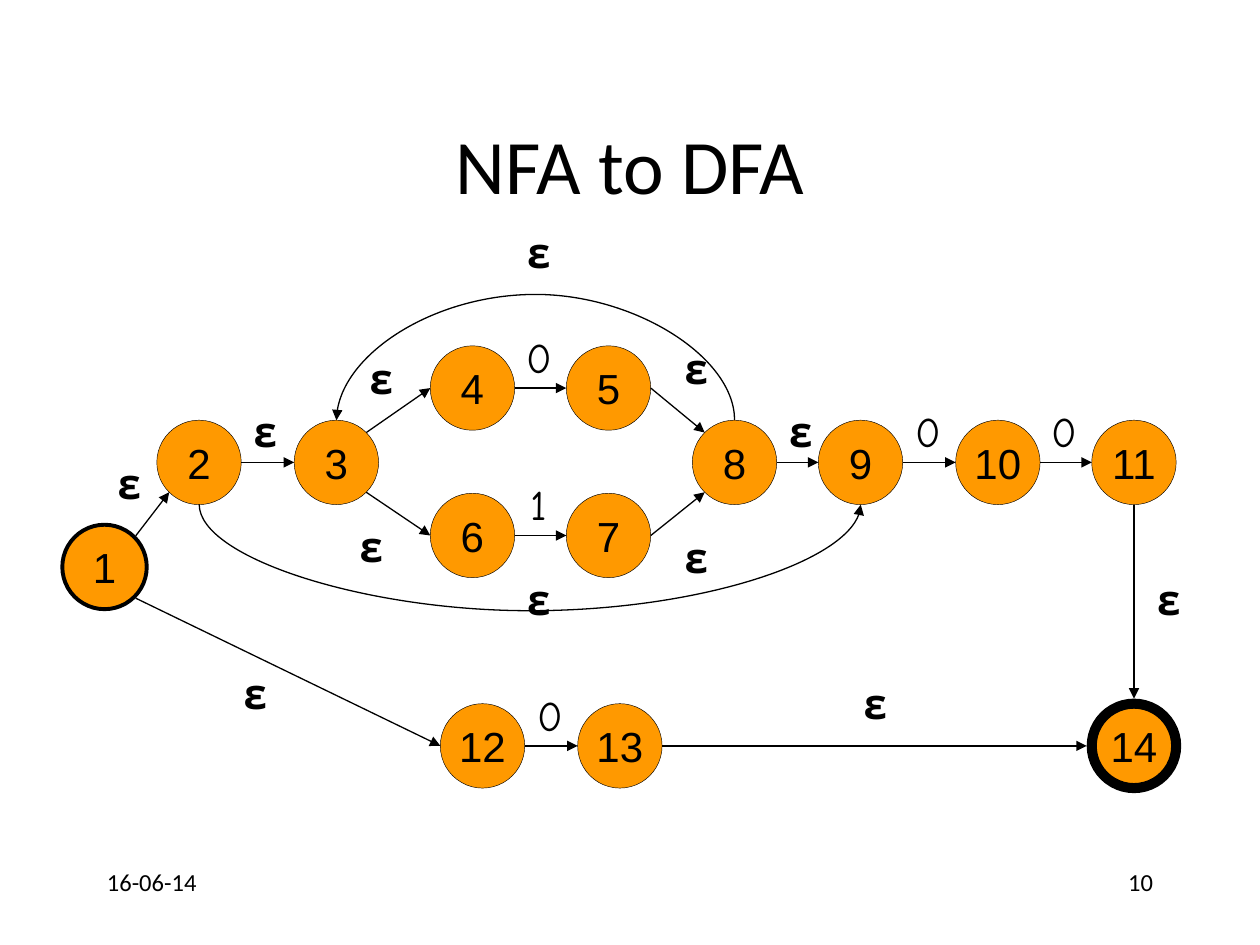
from dataclasses import dataclass
from math import cos, radians, sin

from lxml.etree import SubElement
from pptx import Presentation
from pptx.dml.color import RGBColor
from pptx.enum.shapes import MSO_CONNECTOR as Connector, MSO_SHAPE as Shape
from pptx.enum.text import MSO_ANCHOR as Anchor, MSO_AUTO_SIZE as AutoSize, PP_ALIGN as Align
from pptx.oxml.ns import qn
from pptx.util import Emu, Inches, Pt


@dataclass(frozen=True)
class Theme:
    ink: RGBColor = RGBColor(0, 0, 0)
    state_fill: RGBColor = RGBColor(0xFF, 0x99, 0x00)
    text_font: str = "Calibri"
    state_font: str = "Arial"
    symbol_font: str = "Comic Neue"
    title_size: int = 44
    diagram_size: int = 24
    footer_size: int = 14
    edge_width: float = 0.75
    state_border: float = 0.25
    start_border: float = 2.25
    accept_border: float = 5.75


THEME = Theme()
EPSILON = "ε"
DIAMETER = 0.67
ARC_DEPTH = Emu(1588)  # thin connector box; the adjustment scales from it

# Directions on a state's rim, in degrees clockwise from the right
RIGHT, LOWER_RIGHT, DOWN, LOWER_LEFT, LEFT, UPPER_LEFT, UP, UPPER_RIGHT = range(0, 360, 45)

UPPER, MIDDLE, LOWER, BOTTOM = 3.08, 3.67, 4.25, 5.92
STATES = {
    1: (0.83, 4.5), 2: (1.58, MIDDLE), 3: (2.67, MIDDLE),
    4: (3.75, UPPER), 5: (4.83, UPPER), 6: (3.75, LOWER), 7: (4.83, LOWER),
    8: (5.83, MIDDLE), 9: (6.83, MIDDLE), 10: (7.92, MIDDLE), 11: (9, MIDDLE),
    12: (3.83, BOTTOM), 13: (4.92, BOTTOM), 14: (9, BOTTOM),
}
BORDERS = {1: THEME.start_border, 14: THEME.accept_border}

# from, side, to, side, symbol, symbol's centre x and top
TRANSITIONS = [
    (1, UPPER_RIGHT, 2, LOWER_LEFT, EPSILON, 1.01, 3.58),
    (1, LOWER_RIGHT, 12, LEFT, EPSILON, 2.01, 5.25),
    (2, RIGHT, 3, LEFT, EPSILON, 2.09, 3.17),
    (3, UPPER_RIGHT, 4, LEFT, EPSILON, 3.01, 2.75),
    (3, LOWER_RIGHT, 6, LEFT, EPSILON, 2.93, 4.08),
    (4, RIGHT, 5, LEFT, "0", 4.28, 2.58),
    (6, RIGHT, 7, LEFT, "1", 4.28, 3.75),
    (5, RIGHT, 8, UPPER_LEFT, EPSILON, 5.51, 2.67),
    (7, RIGHT, 8, LOWER_LEFT, EPSILON, 5.51, 4.17),
    (8, RIGHT, 9, LEFT, EPSILON, 6.34, 3.17),
    (9, RIGHT, 10, LEFT, "0", 7.37, 3.17),
    (10, RIGHT, 11, LEFT, "0", 8.45, 3.17),
    (11, DOWN, 14, UP, EPSILON, 9.26, 4.5),
    (12, RIGHT, 13, LEFT, "0", 4.37, 5.42),
    (13, RIGHT, 14, LEFT, EPSILON, 6.93, 5.33),
]

# from, to, side, signed drop of the arc, symbol's centre x and top
ARCS = [
    (8, 3, UP, -1.1, 4.26, 1.75),
    (2, 9, DOWN, 0.93, 4.26, 4.5),
]


def write(frame, text, *, font, size, bold=False, align=Align.LEFT, anchor=Anchor.TOP, wrap=True):
    frame.word_wrap = wrap
    frame.vertical_anchor = anchor
    paragraph = frame.paragraphs[0]
    paragraph.alignment = align
    run = paragraph.add_run()
    run.text = text
    run.font.name = font
    run.font.size = Pt(size)
    run.font.bold = bold
    run.font.color.rgb = THEME.ink


def rim(state, side):
    """Point on the outer edge of a state's border, in inches."""
    x, y = STATES[state]
    radius = DIAMETER / 2 + BORDERS.get(state, 0) / 72 / 2
    return x + radius * cos(radians(side)), y + radius * sin(radians(side))


class AutomatonSlide:
    def __init__(self, slide, theme):
        self.slide = slide
        self.theme = theme

    def text(self, content, left, top, width, height, **style):
        box = self.slide.shapes.add_textbox(*map(Inches, (left, top, width, height)))
        write(box.text_frame, content, **style)
        return box

    def symbol(self, content, center, top):
        width = 0.4 if content == "0" else 0.35
        box = self.text(content, center - width / 2, top, width, 0.5,
                        font=self.theme.symbol_font, size=self.theme.diagram_size,
                        bold=content == EPSILON, align=Align.CENTER, wrap=False)
        box.text_frame.auto_size = AutoSize.SHAPE_TO_FIT_TEXT

    def state(self, number):
        x, y = STATES[number]
        circle = self.slide.shapes.add_shape(
            Shape.FLOWCHART_CONNECTOR, Inches(x - DIAMETER / 2), Inches(y - DIAMETER / 2),
            Inches(DIAMETER), Inches(DIAMETER))
        circle.shadow.inherit = False
        circle.fill.solid()
        circle.fill.fore_color.rgb = self.theme.state_fill
        circle.line.color.rgb = self.theme.ink
        circle.line.width = Pt(BORDERS.get(number, self.theme.state_border))
        write(circle.text_frame, str(number), font=self.theme.state_font,
              size=self.theme.diagram_size, align=Align.CENTER, anchor=Anchor.MIDDLE, wrap=False)

    def arrow(self, kind, start, end):
        connector = self.slide.shapes.add_connector(kind, *start, *end)
        connector.line.color.rgb = self.theme.ink
        connector.line.width = Pt(self.theme.edge_width)
        SubElement(connector.line._get_or_add_ln(), qn("a:tailEnd"), type="triangle")
        SubElement(connector._element.spPr, qn("a:effectLst"))
        return connector

    def transition(self, source, source_side, target, target_side):
        self.arrow(Connector.STRAIGHT, map(Inches, rim(source, source_side)),
                   map(Inches, rim(target, target_side)))

    def arc(self, source, target, side, drop):
        """Curve between two states of one row, as a thin connector turned a quarter."""
        (start_x, y), (end_x, _) = rim(source, side), rim(target, side)
        middle = Inches((start_x + end_x) / 2)
        half_span = (end_x - start_x) / 2
        connector = self.arrow(Connector.CURVE,
                               (middle + ARC_DEPTH, Inches(y - half_span)),
                               (middle, Inches(y + half_span)))
        properties = connector._element.spPr
        properties.find(qn("a:xfrm")).set("rot", str(270 * 60000))
        adjustments = properties.find(qn("a:prstGeom")).find(qn("a:avLst"))
        bend = round(Inches(drop) / ARC_DEPTH * 100000)
        SubElement(adjustments, qn("a:gd"), name="adj1", fmla=f"val {bend}")


def main():
    deck = Presentation()
    deck.slide_width, deck.slide_height = Inches(10), Inches(7.5)
    page = AutomatonSlide(deck.slides.add_slide(deck.slide_layouts[6]), THEME)

    page.text("NFA to DFA", 0.75, 0.67, 8.5, 1.25, font=THEME.text_font,
              size=THEME.title_size, align=Align.CENTER, anchor=Anchor.MIDDLE)
    footer = {"font": THEME.text_font, "size": THEME.footer_size}
    page.text("16-06-14", 0.75, 6.83, 2.08, 0.5, **footer)
    page.text("10", 7.17, 6.83, 2.08, 0.5, align=Align.RIGHT, **footer)

    for number in STATES:
        page.state(number)
    for *ends, symbol, center, top in TRANSITIONS:
        page.transition(*ends)
        page.symbol(symbol, center, top)
    for *course, center, top in ARCS:
        page.arc(*course)
        page.symbol(EPSILON, center, top)

    deck.save("out.pptx")


if __name__ == "__main__":
    main()
